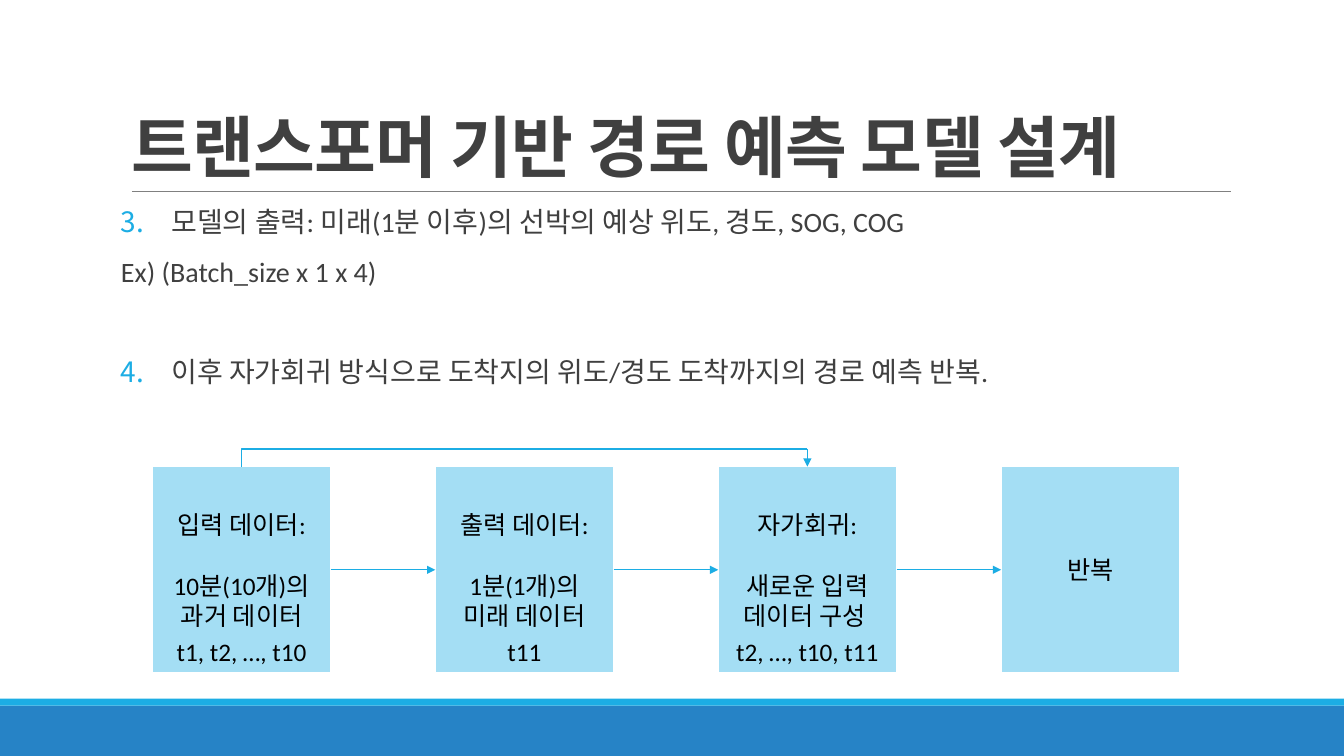
from lxml import etree
from pptx import Presentation
from pptx.dml.color import RGBColor
from pptx.enum.shapes import MSO_CONNECTOR, MSO_SHAPE
from pptx.enum.text import MSO_ANCHOR, MSO_AUTO_SIZE, PP_ALIGN
from pptx.oxml.ns import qn
from pptx.util import Pt

STRAIGHT, ELBOW = MSO_CONNECTOR.STRAIGHT, MSO_CONNECTOR.ELBOW
RECTANGLE = MSO_SHAPE.RECTANGLE
CENTER = PP_ALIGN.CENTER
TOP, MIDDLE, BOTTOM = MSO_ANCHOR.TOP, MSO_ANCHOR.MIDDLE, MSO_ANCHOR.BOTTOM
NO_AUTOFIT = MSO_AUTO_SIZE.NONE

BLUE = RGBColor(0x26, 0x83, 0xC6)
CYAN = RGBColor(0x1C, 0xAD, 0xE4)
PALE_CYAN = RGBColor(0xA4, 0xDE, 0xF4)
GRAY = RGBColor(0x80, 0x80, 0x80)
DARK_GRAY = RGBColor(0x40, 0x40, 0x40)
BLACK = RGBColor(0, 0, 0)
WHITE = RGBColor(0xFF, 0xFF, 0xFF)

TITLE = "트랜스포머 기반 경로 예측 모델 설계"
# text, list number, space before
BODY = [
    ("모델의 출력: 미래(1분 이후)의 선박의 예상 위도, 경도, SOG, COG", 3, 0),
    ("Ex) (Batch_size x 1 x 4)", None, 12),
    ("이후 자가회귀 방식으로 도착지의 위도/경도 도착까지의 경로 예측 반복.", 4, 48),
]
# paragraphs, time steps
STAGES = [
    (["입력 데이터:", "10분(10개)의 과거 데이터"], "t1, t2, …, t10"),
    (["출력 데이터:", "1분(1개)의 미래 데이터"], "t11"),
    (["자가회귀:", "새로운 입력 데이터 구성 "], "t2, …, t10, t11"),
    (["반복"], None),
]


def place(shape, left, top, width, height):
    shape.left, shape.top = Pt(left), Pt(top)
    shape.width, shape.height = Pt(width), Pt(height)


def format_runs(paragraph, size, color, name="Calibri", bold=False):
    for run in paragraph.runs:
        run.font.size = Pt(size)
        run.font.name = name
        run.font.bold = bold
        run.font.color.rgb = color


def add_rectangle(slide, left, top, width, height, fill):
    shape = slide.shapes.add_shape(RECTANGLE, Pt(left), Pt(top), Pt(width), Pt(height))
    shape.shadow.inherit = False
    shape.fill.solid()
    shape.fill.fore_color.rgb = fill
    shape.line.fill.background()
    return shape


def add_line(slide, start, end, color, weight, kind=STRAIGHT, arrow=False):
    line = slide.shapes.add_connector(kind, *(Pt(value) for value in (*start, *end)))
    line.line.color.rgb = color
    line.line.width = Pt(weight)
    properties = line.element.spPr
    if arrow:
        etree.SubElement(properties.find(qn("a:ln")), qn("a:tailEnd"), type="triangle")
    etree.SubElement(properties, qn("a:effectLst"))
    return line


def add_background(slide, width, height):
    add_rectangle(slide, 0, height - 36, width, 36, BLUE)
    add_rectangle(slide, 0, height - 41, width, 5, CYAN)
    add_line(slide, (94.3, 136.9), (879.1, 136.9), GRAY, 0.5)


def fill_title(title, left, top, width, height):
    place(title, left, top, width, height)
    frame = title.text_frame
    frame.text = TITLE
    frame.auto_size = NO_AUTOFIT
    frame.vertical_anchor = BOTTOM
    paragraph = frame.paragraphs[0]
    paragraph.alignment = PP_ALIGN.LEFT
    paragraph.line_spacing = 0.85
    format_runs(paragraph, 48, DARK_GRAY, "Noto Sans CJK KR", True)
    for run in paragraph.runs:
        run_properties = run.font._element
        run_properties.set("spc", "-50")
        latin = run_properties.find(qn("a:latin"))
        east_asian = etree.Element(qn("a:ea"), typeface="Noto Sans CJK KR")
        latin.addnext(east_asian)


def set_numbering(paragraph, number):
    """Number the paragraph with a hanging indent, or clear its bullet."""
    properties = paragraph._p.get_or_add_pPr()
    indent = Pt(36) if number else 0
    properties.set("marL", str(indent))
    properties.set("indent", str(-indent))
    if number is None:
        etree.SubElement(properties, qn("a:buNone"))
        return
    color = etree.SubElement(properties, qn("a:buClr"))
    etree.SubElement(color, qn("a:srgbClr"), val=str(CYAN))
    etree.SubElement(properties, qn("a:buFont"), typeface="Calibri")
    etree.SubElement(properties, qn("a:buAutoNum"), type="arabicPeriod", startAt=str(number))


def fill_body(body, left, top, width, height):
    place(body, left, top, width, height)
    frame = body.text_frame
    frame.text = "\n".join(text for text, _, _ in BODY)
    frame.auto_size = NO_AUTOFIT
    frame.vertical_anchor = TOP
    frame.margin_left = frame.margin_right = 0
    for paragraph, (_, number, space_before) in zip(frame.paragraphs, BODY):
        set_numbering(paragraph, number)
        paragraph.line_spacing = 0.9
        paragraph.space_before = Pt(space_before)
        paragraph.space_after = Pt(2)
        format_runs(paragraph, 20, DARK_GRAY)


def add_stage(slide, left, top, width, height, lines, steps):
    box = add_rectangle(slide, left, top, width, height, PALE_CYAN)
    box.line.color.rgb = WHITE
    box.line.width = Pt(1.25)
    frame = box.text_frame
    frame.text = "\n".join(lines)
    frame.word_wrap = True
    frame.vertical_anchor = MIDDLE
    for index, paragraph in enumerate(frame.paragraphs):
        paragraph.alignment = CENTER
        paragraph.space_before = Pt(22 * index)
        format_runs(paragraph, 18, BLACK)
    if steps:
        label = slide.shapes.add_textbox(Pt(left), Pt(top + height - 29.5), Pt(width), Pt(29))
        label.text_frame.text = steps
        label.text_frame.word_wrap = True
        paragraph = label.text_frame.paragraphs[0]
        paragraph.alignment = CENTER
        format_runs(paragraph, 18, BLACK)
    return box


def add_feedback(slide, start_x, end_x, box_top, rise, target):
    """Lead from the top of one stage over to the top of a later one."""
    middle_x, middle_y = (start_x + end_x) / 2, box_top - rise / 2
    half_run, half_rise = (end_x - start_x) / 2, rise / 2
    # The elbow is laid out upright, then turned a quarter about its centre.
    elbow = add_line(slide, (middle_x + half_rise, middle_y + half_run),
                     (middle_x - half_rise, middle_y - half_run), CYAN, 1, ELBOW)
    elbow.element.spPr.find(qn("a:prstGeom")).set("prst", "bentConnector2")
    elbow.element.spPr.find(qn("a:xfrm")).set("rot", "5400000")
    arrow = add_line(slide, (end_x, box_top - rise), (end_x, box_top), CYAN, 1, arrow=True)
    arrow.end_connect(target, 0)


def add_flow(slide, left, top, width, height):
    box_width = 127.4
    pitch = (width - box_width) / (len(STAGES) - 1)
    boxes = [add_stage(slide, left + index * pitch, top, box_width, height, lines, steps)
             for index, (lines, steps) in enumerate(STAGES)]
    middle = top + height / 2
    for index, (source, target) in enumerate(zip(boxes, boxes[1:])):
        start_x = left + index * pitch + box_width
        arrow = add_line(slide, (start_x, middle), (start_x + pitch - box_width, middle),
                         CYAN, 1, arrow=True)
        arrow.begin_connect(source, 3)
        arrow.end_connect(target, 1)
    first_center = left + box_width / 2
    add_feedback(slide, first_center, first_center + 2 * pitch, top, 12.6, boxes[2])


def main():
    presentation = Presentation()
    presentation.slide_width, presentation.slide_height = Pt(960), Pt(540)
    slide = presentation.slides.add_slide(presentation.slide_layouts[1])
    add_background(slide, 960, 540)
    fill_title(slide.shapes.title, 86.4, 22.3, 792, 114.5)
    fill_body(slide.placeholders[1], 86.4, 145.4, 792, 316.8)
    add_flow(slide, 108.9, 333.3, 733.6, 147.4)
    presentation.save("out.pptx")


if __name__ == "__main__":
    main()
